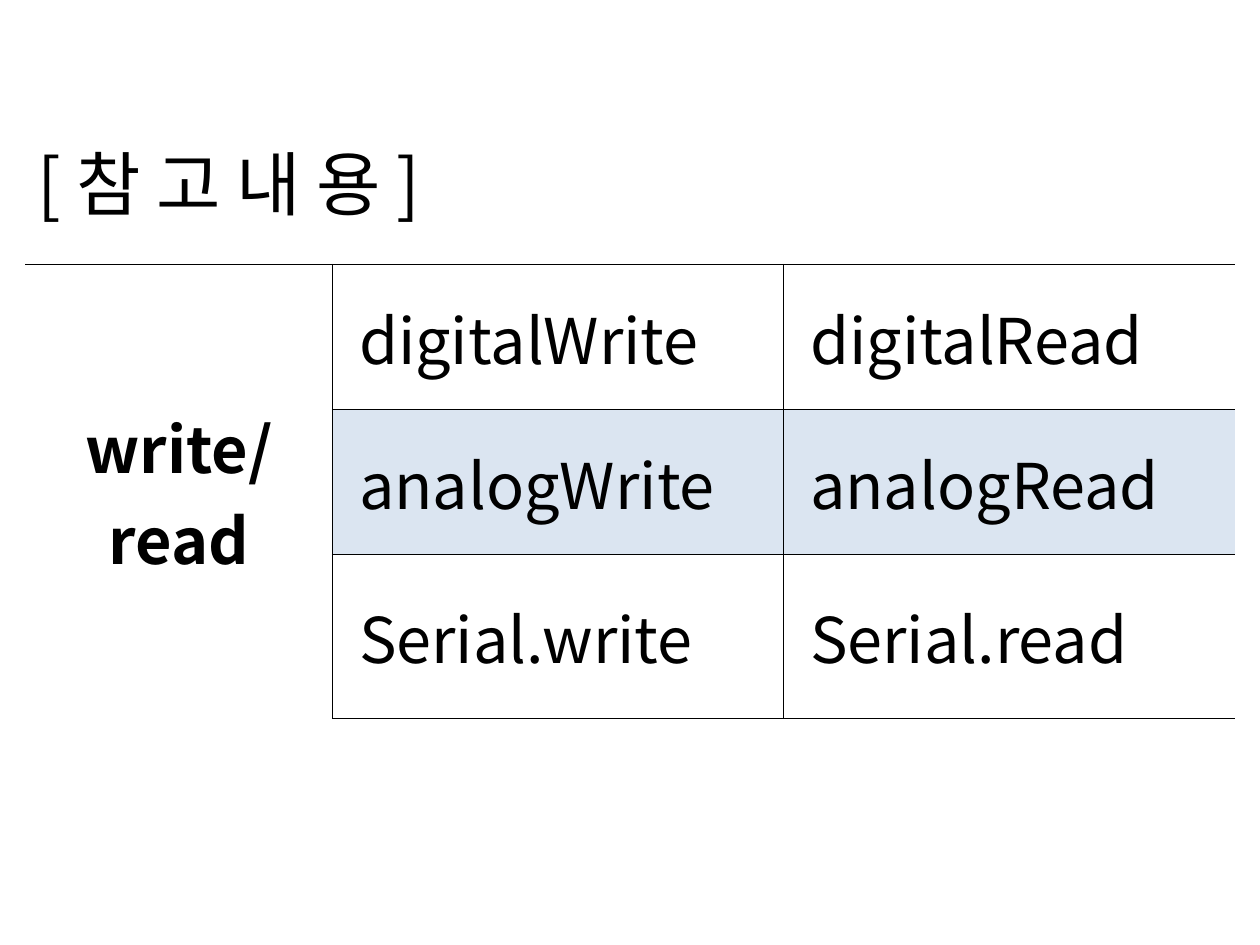
from lxml import etree
from pptx import Presentation
from pptx.dml.color import RGBColor
from pptx.enum.text import MSO_ANCHOR as Anchor, MSO_AUTO_SIZE as AutoSize, PP_ALIGN as Align
from pptx.oxml.ns import qn
from pptx.util import Inches, Pt

FONT = "Noto Sans CJK KR"
BLACK = "000000"
BAND = "DBE5F1"
COLUMNS = [2.44, 3.58, 3.58]
ROWS = [1.15, 1.15, 1.3]
GROUP_LABEL = ["write/", "read"]
FUNCTIONS = [
    ["digitalWrite", "digitalRead"],
    ["analogWrite", "analogRead"],
    ["Serial.write", "Serial.read"],
]


def color(value):
    return RGBColor.from_string(value)


def write_lines(frame, lines, size, bold=False, align=Align.LEFT):
    for index, line in enumerate(lines):
        paragraph = frame.add_paragraph() if index else frame.paragraphs[0]
        paragraph.alignment = align
        run = paragraph.add_run()
        run.text = line
        font = run.font
        font.name, font.size, font.bold = FONT, Pt(size), bold
        font.color.rgb = color(BLACK)
        east_asian = etree.SubElement(run._r.get_or_add_rPr(), qn("a:ea"))
        east_asian.set("typeface", FONT)


def set_borders(cell, sides):
    """Rule the given sides (letters of LRTB) and leave the others open."""
    properties = cell._tc.get_or_add_tcPr()
    for index, side in enumerate("LRTB"):
        line = etree.Element(qn(f"a:ln{side}"), w=str(Pt(1)))
        if side in sides:
            fill = etree.SubElement(line, qn("a:solidFill"))
            etree.SubElement(fill, qn("a:srgbClr"), val=BLACK)
        else:
            etree.SubElement(line, qn("a:noFill"))
        properties.insert(index, line)


def add_title(slide, left, top, width, height):
    box = slide.shapes.add_textbox(*map(Inches, (left, top, width, height)))
    frame = box.text_frame
    frame.word_wrap = False
    frame.auto_size = AutoSize.SHAPE_TO_FIT_TEXT
    write_lines(frame, ["[ 참 고 내 용 ]"], 40)


def add_function_table(slide, left, top):
    box = map(Inches, (left, top, sum(COLUMNS), sum(ROWS)))
    table = slide.shapes.add_table(len(ROWS), len(COLUMNS), *box).table
    table.first_row = table.horz_banding = False
    for column, width in zip(table.columns, COLUMNS):
        column.width = Inches(width)
    for row, height in zip(table.rows, ROWS):
        row.height = Inches(height)

    last_row = len(ROWS) - 1
    for row, names in enumerate(FUNCTIONS):
        label_sides = "R" + "T" * (row == 0) + "B" * (row == last_row)
        label_cell = table.cell(row, 0)
        label_cell.fill.background()
        set_borders(label_cell, label_sides)
        for column, name in enumerate(names, start=1):
            cell = table.cell(row, column)
            cell.vertical_anchor = Anchor.MIDDLE
            cell.margin_left = Inches(0.21)
            write_lines(cell.text_frame, [name], 36)
            if row == 1:
                cell.fill.solid()
                cell.fill.fore_color.rgb = color(BAND)
            else:
                cell.fill.background()
            set_borders(cell, "LTB" if column == len(names) else "LRTB")

    group = table.cell(0, 0)
    group.merge(table.cell(last_row, 0))
    group.vertical_anchor = Anchor.MIDDLE
    write_lines(group.text_frame, GROUP_LABEL, 36, bold=True, align=Align.CENTER)


def main():
    presentation = Presentation()
    presentation.slide_width, presentation.slide_height = Inches(10), Inches(7.5)
    slide = presentation.slides.add_slide(presentation.slide_layouts[6])
    add_title(slide, 0.2, 1.07, 3.78, 0.77)
    add_function_table(slide, 0.2, 2.1)
    presentation.save("out.pptx")


if __name__ == "__main__":
    main()
